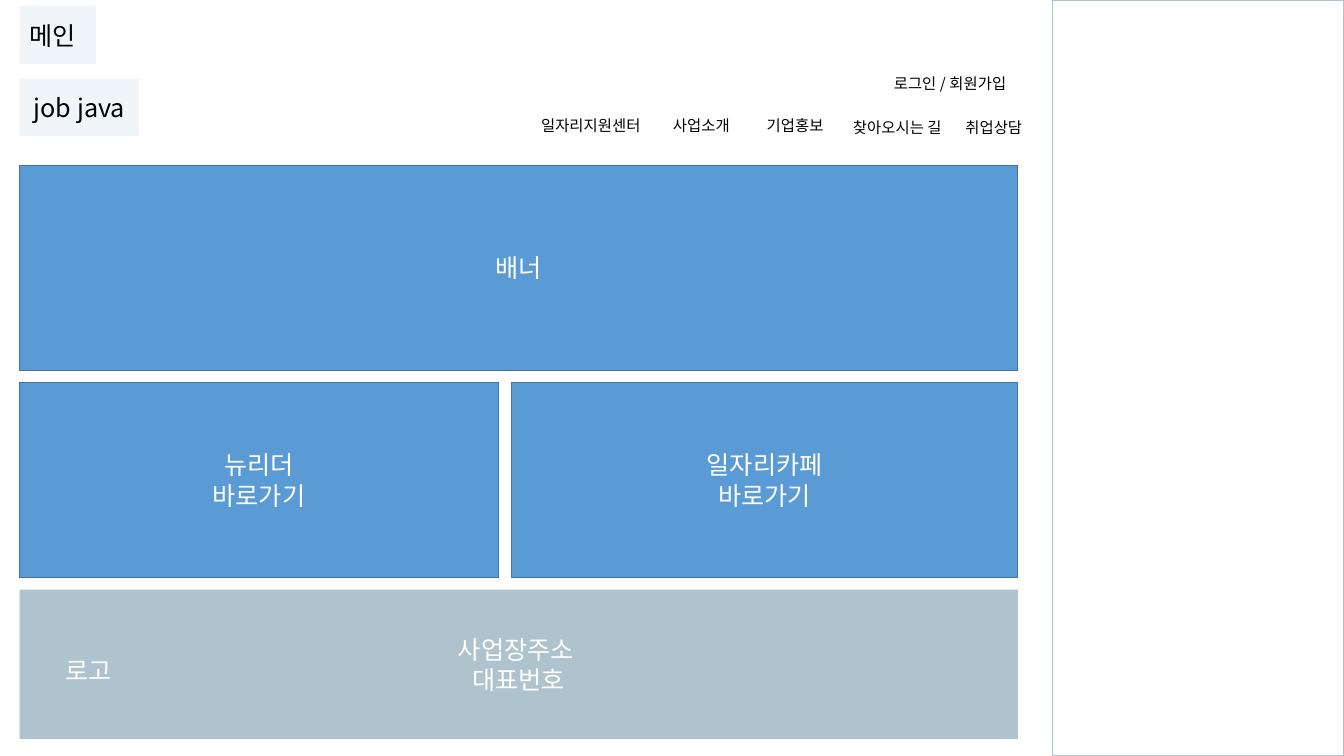
from lxml import etree
from pptx import Presentation
from pptx.dml.color import RGBColor
from pptx.enum.shapes import MSO_SHAPE
from pptx.enum.text import MSO_ANCHOR, PP_ALIGN
from pptx.oxml.ns import qn
from pptx.util import Pt

RECTANGLE = MSO_SHAPE.RECTANGLE
TOP, MIDDLE = MSO_ANCHOR.TOP, MSO_ANCHOR.MIDDLE
LEFT, CENTER = PP_ALIGN.LEFT, PP_ALIGN.CENTER
FONT = "Noto Sans CJK KR"
BLACK, WHITE = "000000", "FFFFFF"
PALE, BLUE, DARK_BLUE, GREY = "F0F5F9", "5B9BD5", "43739E", "AFC3CE"


def write(box, lines, size, color, align=CENTER, anchor=MIDDLE):
    """Fill a box with one paragraph per line."""
    frame = box.text_frame
    frame.word_wrap = True
    frame.vertical_anchor = anchor
    frame.text = "\n".join(lines)
    for para in frame.paragraphs:
        para.alignment = align
        font = para.font
        font.size = Pt(size)
        font.color.rgb = RGBColor.from_string(color)
        font.name = FONT
        properties = para._p.pPr.find(qn("a:defRPr"))
        etree.SubElement(properties, qn("a:ea"), typeface=FONT)


def add_panel(page, frame, fill=None, line=None):
    """Add a flat rectangle at (left, top, width, height)."""
    panel = page.shapes.add_shape(RECTANGLE, *map(Pt, frame))
    panel.shadow.inherit = False
    if fill:
        panel.fill.solid()
        panel.fill.fore_color.rgb = RGBColor.from_string(fill)
    else:
        panel.fill.background()
    if line:
        panel.line.color.rgb = RGBColor.from_string(line)
        panel.line.width = Pt(1)
    else:
        panel.line.fill.background()
    return panel


deck = Presentation()
deck.slide_width, deck.slide_height = Pt(960), Pt(540)
page = deck.slides.add_slide(deck.slide_layouts[6])

# Page name and site name
page_name = add_panel(page, (14, 4.3, 54.7, 41.3), PALE)
write(page_name, ["메인"], 18, BLACK, LEFT)
site_name = add_panel(page, (14.2, 56.2, 85, 41), PALE)
write(site_name, ["job java"], 18, BLACK)

# Login link and menu
login = page.shapes.add_textbox(Pt(631.4), Pt(49.5), Pt(105), Pt(20.6))
write(login, ["로그인 / 회원가입"], 11, BLACK, LEFT, TOP)

menu = [
    ("일자리지원센터", 373, 79.2, 98),
    ("사업소개", 471, 79.2, 60),
    ("기업홍보", 538.8, 79.2, 58.3),
    ("찾아오시는 길", 597.5, 80.6, 87),
    ("취업상담", 676.8, 80.6, 66.2),
]
for label, left, top, width in menu:
    item = page.shapes.add_textbox(Pt(left), Pt(top), Pt(width), Pt(20.6))
    write(item, [label], 11, BLACK)

# Content panels and footer
panels = [
    (["배너"], (14, 118, 713, 146.7), BLUE, DARK_BLUE),
    (["뉴리더", "바로가기"], (14, 273, 342, 139.5), BLUE, DARK_BLUE),
    (["일자리카페", "바로가기"], (365.5, 273, 361.5, 139.5), BLUE, DARK_BLUE),
    (["사업장주소 ", "대표번호"], (14, 421.2, 713, 106.6), GREY, None),
]
for lines, frame, fill, line in panels:
    write(add_panel(page, frame, fill, line), lines, 18, WHITE)

logo_label = page.shapes.add_textbox(Pt(39.6), Pt(464.4), Pt(65.5), Pt(28))
write(logo_label, ["로고"], 18, WHITE, LEFT, TOP)

# Empty side column
add_panel(page, (751.7, 0, 208.3, 540), line=GREY)

deck.save("out.pptx")
